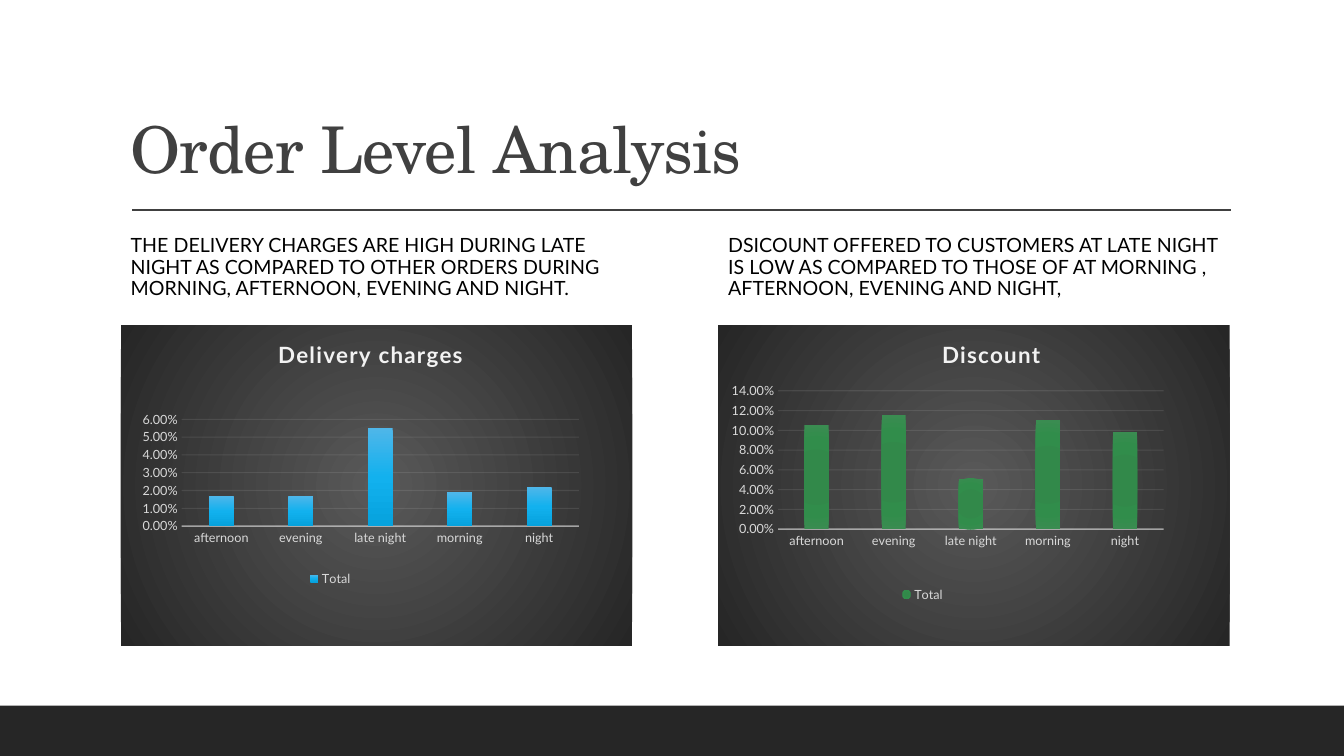
"""Build the order level analysis slide with two column charts."""
from dataclasses import dataclass

from lxml import etree
from pptx import Presentation
from pptx.chart.data import CategoryChartData
from pptx.dml.color import RGBColor
from pptx.enum.chart import XL_CHART_TYPE, XL_LEGEND_POSITION, XL_TICK_MARK
from pptx.enum.shapes import MSO_CONNECTOR, MSO_SHAPE
from pptx.enum.text import MSO_ANCHOR
from pptx.oxml import parse_xml
from pptx.oxml.ns import qn
from pptx.util import Emu, Pt

COLUMN = XL_CHART_TYPE.COLUMN_CLUSTERED
LEGEND_RIGHT = XL_LEGEND_POSITION.RIGHT
NO_TICK = XL_TICK_MARK.NONE
STRAIGHT = MSO_CONNECTOR.STRAIGHT
RECTANGLE = MSO_SHAPE.RECTANGLE
MIDDLE, BOTTOM = MSO_ANCHOR.MIDDLE, MSO_ANCHOR.BOTTOM

EMU_PER_PX = 9525
A_NS = "http://schemas.openxmlformats.org/drawingml/2006/main"
C_NS = "http://schemas.openxmlformats.org/drawingml/2006/chart"
CATEGORIES = ("afternoon", "evening", "late night", "morning", "night")
LINEAR_DOWN = '<a:lin ang="5400000" scaled="0"/>'
PANEL_WIDTH = 487


@dataclass(frozen=True)
class Theme:
    heading_font: str = "TeX Gyre Schola"
    body_font: str = "Lato"
    heading: str = "404040"
    body: str = "000000"
    footer: str = "262626"
    chart_title: str = "F2F2F2"
    chart_text: str = "D9D9D9"
    chart_line: str = "F2F2F2"
    backdrop: tuple = ((0, "595959"), (100, "262626"))
    blue: tuple = ((0, "4FB6E9"), (50, "12B1EE"), (100, "06A2DD"))
    green: tuple = ((0, "2F8949"), (34, "32894A"), (70, "318D4B"), (100, "3A8C51"))
    heading_size: int = 46
    body_size: int = 14
    chart_title_size: int = 16
    chart_size: int = 9


THEME = Theme()


@dataclass(frozen=True)
class Panel:
    left: int
    finding: str
    title: str
    values: tuple
    top_value: float
    step: float
    stops: tuple
    shade: str
    overlap: int
    plot_box: tuple
    title_at: tuple
    legend_box: tuple


def px(n: int) -> Emu:
    """Turn px into EMU."""
    return Emu(n * EMU_PER_PX)


def circle(centre: int) -> str:
    """Return the shading of a round gradient around a centre in percent."""
    sides = " ".join(f'{side}="{centre * 1000}"' for side in "ltrb")
    return f'<a:path path="circle"><a:fillToRect {sides}/></a:path>'


PANELS = (
    Panel(115, "THE DELIVERY CHARGES ARE HIGH DURING LATE NIGHT AS COMPARED TO OTHER "
          "ORDERS DURING MORNING, AFTERNOON, EVENING AND NIGHT.", "Delivery charges",
          (0.017, 0.017, 0.055, 0.019, 0.022), 0.06, 0.01, THEME.blue, LINEAR_DOWN, 0,
          (0.119, 0.293, 0.777, 0.334), (0.3, 0.03), (0.35, 0.75, 0.12, 0.08)),
    Panel(684, "DSICOUNT OFFERED TO CUSTOMERS AT LATE NIGHT IS LOW AS COMPARED TO "
          "THOSE OF AT MORNING , AFTERNOON, EVENING AND NIGHT,", "Discount",
          (0.105, 0.115, 0.051, 0.11, 0.098), 0.14, 0.02, THEME.green, circle(100), -27,
          (0.117, 0.204, 0.754, 0.432), (0.43, 0.03), (0.34, 0.8, 0.12, 0.08)),
)


def style_font(font, name: str, size: int, color: str) -> None:
    """Set the face, size and colour of a font."""
    font.name, font.size = name, Pt(size)
    font.color.rgb = RGBColor.from_string(color)


def add_text(s, box: tuple, text: str, anchor, font: str, size: int, color: str):
    """Add a wrapped text box and return its paragraph."""
    tf = s.shapes.add_textbox(*map(px, box)).text_frame
    tf.word_wrap, tf.vertical_anchor = True, anchor
    p = tf.paragraphs[0]
    p.text, p.line_spacing = text, 0.9
    style_font(p.font, font, size, color)
    return p


def gradient(stops: tuple, shade: str):
    """Return a gradient fill element."""
    marks = "".join(f'<a:gs pos="{at * 1000}"><a:srgbClr val="{color}"/></a:gs>'
                    for at, color in stops)
    return parse_xml(f'<a:gradFill xmlns:a="{A_NS}" rotWithShape="1">'
                     f'<a:gsLst>{marks}</a:gsLst>{shade}</a:gradFill>')


def style_line(line, width: float, opacity: int) -> None:
    """Give a chart line its width and opacity in percent."""
    line.width = Pt(width)
    line.color.rgb = RGBColor.from_string(THEME.chart_line)
    color = line._ln.find(".//" + qn("a:srgbClr"))
    etree.SubElement(color, qn("a:alpha")).set("val", str(opacity * 1000))


def place(element, index: int, box: tuple, inner: bool = False) -> None:
    """Give a chart part a manual layout in fractions of the chart."""
    for old in element.findall(qn("c:layout")):
        element.remove(old)
    target = '<c:layoutTarget val="inner"/>' if inner else ""
    modes = '<c:xMode val="edge"/><c:yMode val="edge"/>'
    sizes = "".join(f'<c:{key} val="{value}"/>' for key, value in zip("xywh", box))
    element.insert(index, parse_xml(
        f'<c:layout xmlns:c="{C_NS}"><c:manualLayout>{target}{modes}{sizes}'
        '</c:manualLayout></c:layout>'))


def add_column_chart(s, panel: Panel) -> None:
    """Add the column chart of a panel."""
    data = CategoryChartData(number_format="0.00%")
    data.categories = CATEGORIES
    data.add_series("Total", panel.values)
    box = map(px, (panel.left, 310, PANEL_WIDTH, 305))
    chart = s.shapes.add_chart(COLUMN, *box, data).chart
    style_font(chart.font, THEME.body_font, THEME.chart_size, THEME.chart_text)
    backdrop = parse_xml(f'<c:spPr xmlns:c="{C_NS}" xmlns:a="{A_NS}">'
                         '<a:ln><a:noFill/></a:ln></c:spPr>')
    backdrop.insert(0, gradient(THEME.backdrop, circle(50)))
    chart._chartSpace.chart.addnext(backdrop)

    p = chart.chart_title.text_frame.paragraphs[0]
    p.text = panel.title
    style_font(p.font, THEME.body_font, THEME.chart_title_size, THEME.chart_title)
    p.font.bold = True
    p.font._element.set("spc", "100")
    place(chart.chart_title._element, 1, panel.title_at)

    plot = chart.plots[0]
    plot.vary_by_categories = False
    plot.gap_width, plot.overlap = 219, panel.overlap
    plot.series[0].format.fill.background()
    bars = plot.series[0]._element.find(qn("c:spPr"))
    bars.replace(bars.find(qn("a:noFill")), gradient(panel.stops, panel.shade))
    place(chart._chartSpace.chart.plotArea, 0, panel.plot_box, inner=True)

    value_axis, category_axis = chart.value_axis, chart.category_axis
    for axis in (value_axis, category_axis):
        axis.major_tick_mark = axis.minor_tick_mark = NO_TICK
        style_font(axis.tick_labels.font, THEME.body_font, THEME.chart_size, THEME.chart_text)
    style_line(category_axis.format.line, 1, 54)
    value_axis.format.line.fill.background()
    value_axis.minimum_scale, value_axis.maximum_scale = 0, panel.top_value
    value_axis.major_unit = panel.step
    value_axis.tick_labels.number_format = "0.00%"
    value_axis.tick_labels.number_format_is_linked = False
    style_line(value_axis.major_gridlines.format.line, 0.75, 10)

    chart.has_legend = True
    legend = chart.legend
    legend.position, legend.include_in_layout = LEGEND_RIGHT, False
    style_font(legend.font, THEME.body_font, THEME.chart_size, THEME.chart_text)
    place(legend._element, 1, panel.legend_box)


def main() -> None:
    """Build and save the slide."""
    prs = Presentation()
    prs.slide_width, prs.slide_height = px(1280), px(720)
    s = prs.slides.add_slide(prs.slide_layouts[6])

    footer = s.shapes.add_shape(RECTANGLE, *map(px, (0, 672, 1280, 48)))
    footer.shadow.inherit = False
    footer.fill.solid()
    footer.fill.fore_color.rgb = RGBColor.from_string(THEME.footer)
    footer.line.fill.background()

    rule = s.shapes.add_connector(STRAIGHT, *map(px, (126, 200, 1172, 200)))
    rule.line.width = Pt(1)
    rule.line.color.rgb = RGBColor.from_string(THEME.heading)
    etree.SubElement(rule._element.spPr, qn("a:effectLst"))

    p = add_text(s, (115, 30, 1056, 153), "Order Level Analysis", BOTTOM,
                 THEME.heading_font, THEME.heading_size, THEME.heading)
    p.font._element.set("spc", "-50")
    for panel in PANELS:
        p = add_text(s, (panel.left, 216, PANEL_WIDTH, 78), panel.finding, MIDDLE,
                     THEME.body_font, THEME.body_size, THEME.body)
        p.space_before, p.space_after = Pt(12), Pt(2)
        add_column_chart(s, panel)
    prs.save("out.pptx")


if __name__ == "__main__":
    main()
